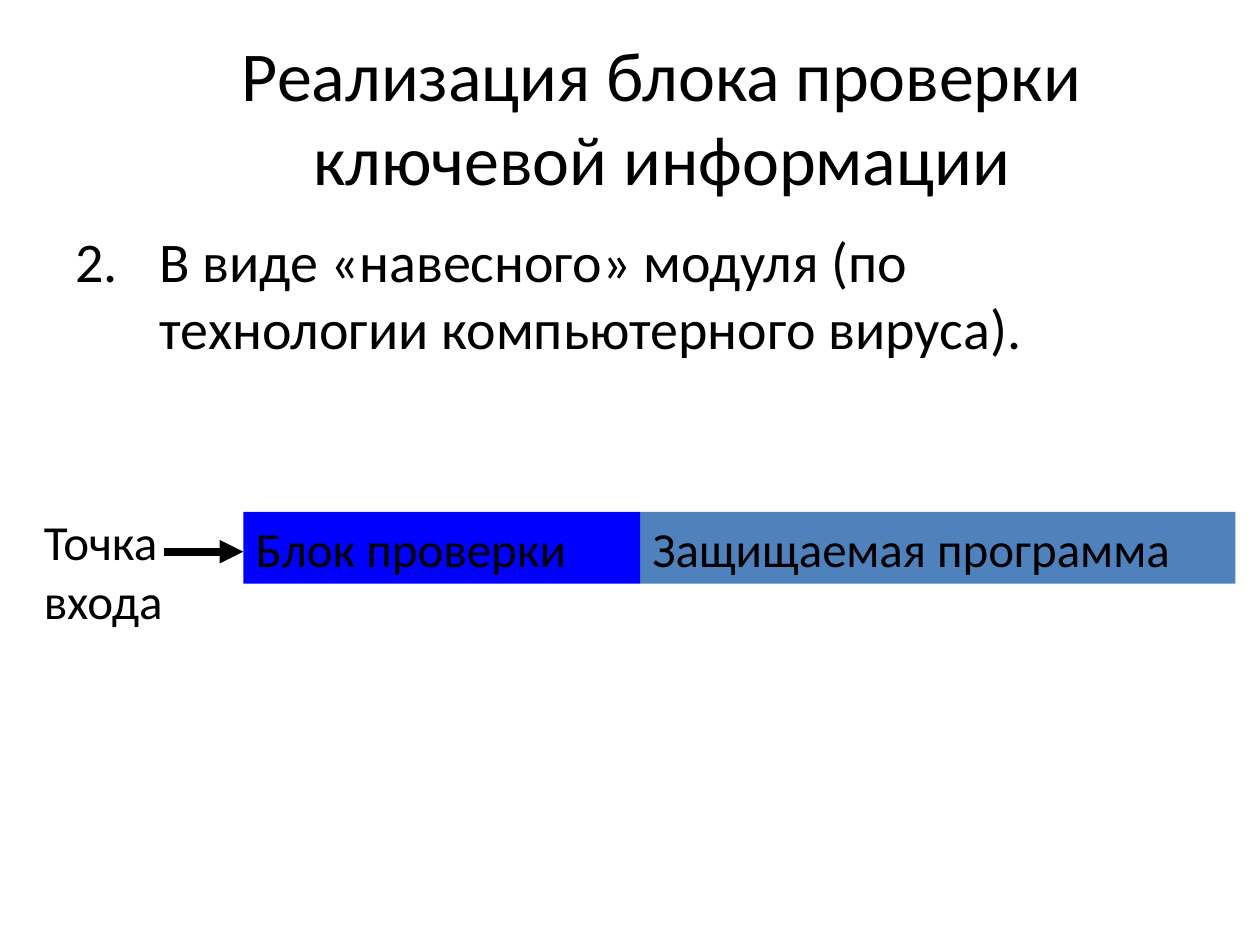
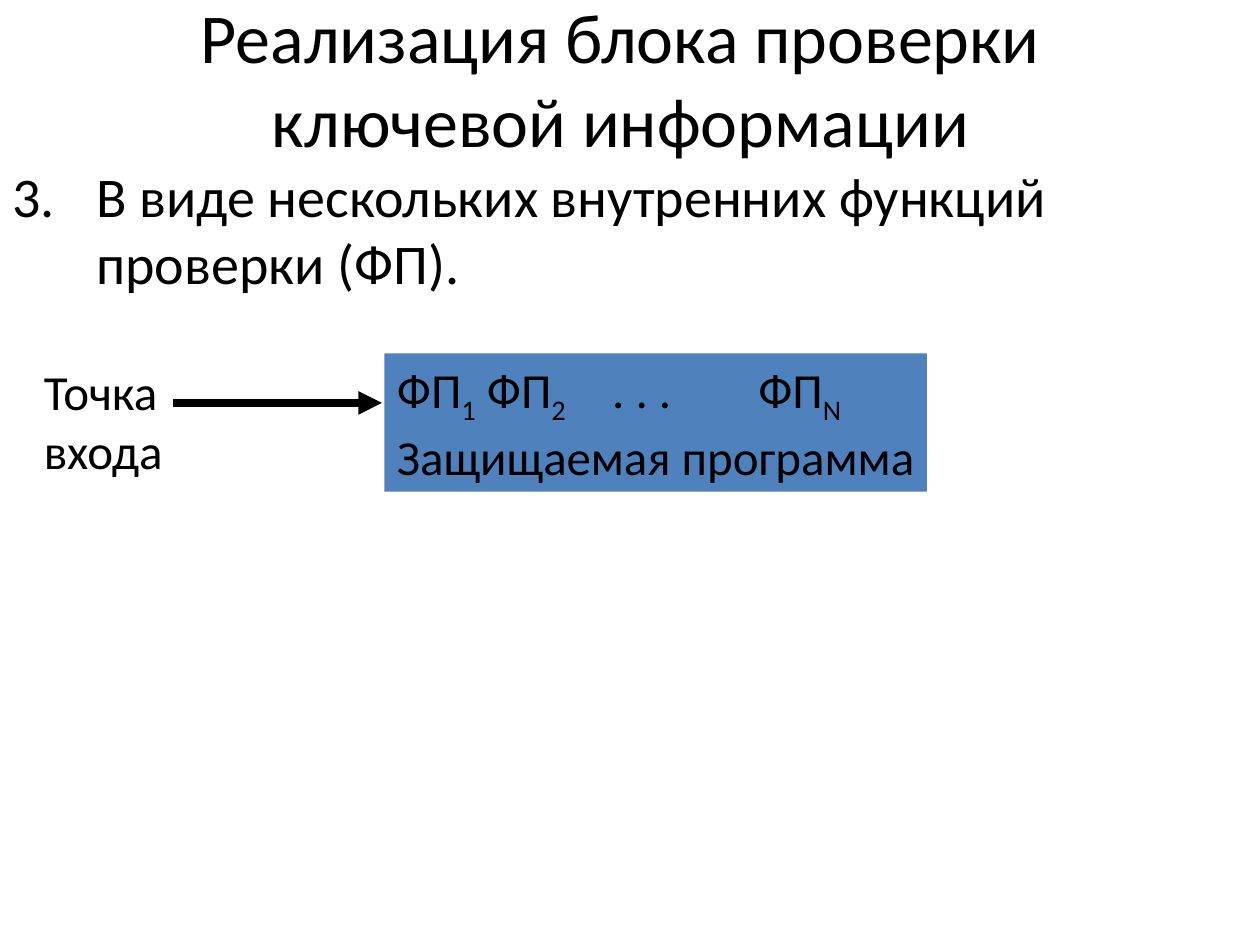
import pptx
import pptx.dml.color
import pptx.enum.shapes
import pptx.enum.text
import pptx.oxml.ns
import pptx.util
from lxml import etree

Pt = pptx.util.Pt
qn = pptx.oxml.ns.qn
ANCHOR = pptx.enum.text.MSO_ANCHOR
ALIGN = pptx.enum.text.PP_ALIGN

COLORS = {"text": "000000", "program": "4F81BD", "check": "0000FF"}
FONT = "Calibri"
TITLE = "Реализация блока проверки ключевой информации"
ENTRY_LABEL = "Точка\nвхода"
PROGRAM_LABEL = "Защищаемая программа"
NUMBER_INDENT = 48
FUNCTION_TABS = [123, 206.5]

SLIDES = [
    {
        "title": (60, 21, 636, 90),
        "body": (36, 126, 648, 93),
        "number": 2,
        "statement": "В виде «навесного» модуля (по технологии компьютерного вируса).",
        "entry": (18, 288.75, 83.5, 75),
        "arrow": (93.5, 139, 315.25),
        "blocks": [
            ((365.75, 292.5, 340.25, 41), "program", [(PROGRAM_LABEL, False)]),
            ((139, 292.5, 226.75, 41), "check", [("Блок проверки", False)]),
        ],
    },
    {
        "title": (25, 0, 659, 88.5),
        "body": (0, 88.5, 720, 96.5),
        "number": 3,
        "statement": "В виде нескольких внутренних функций проверки (ФП).",
        "entry": (18, 203.25, 83.5, 75),
        "arrow": (99, 218.25, 230.25),
        "blocks": [
            ((219.75, 202, 310, 79), "program", [
                ("ФП", False), ("1", True), (" ФП", False), ("2", True),
                ("\t. . .\tФП", False), ("N", True), ("\n" + PROGRAM_LABEL, False),
            ]),
        ],
    },
]


def write_text(shape, runs, size, frame_format):
    """Fill the shape with one paragraph of (text, is_subscript) runs and return it."""
    for name, value in frame_format.items():
        setattr(shape.text_frame, name, value)
    paragraph = shape.text_frame.paragraphs[0]
    paragraph.alignment = ALIGN.LEFT
    paragraph.font.size = Pt(size)
    for text, is_subscript in runs:
        for index, line in enumerate(text.split("\n")):
            if index:
                paragraph.add_line_break()
            if not line:
                continue
            run = paragraph.add_run()
            run.text = line
            for name, value in {"name": FONT, "size": Pt(size)}.items():
                setattr(run.font, name, value)
            run.font.color.rgb = pptx.dml.color.RGBColor.from_string(COLORS["text"])
            if is_subscript:
                run.font._element.set("baseline", "-25000")
    return paragraph


presentation = pptx.Presentation()
presentation.slide_width = Pt(720)
presentation.slide_height = Pt(540)

for content in SLIDES:
    slide = presentation.slides.add_slide(presentation.slide_layouts[6])

    title = slide.shapes.add_textbox(*map(Pt, content["title"]))
    paragraph = write_text(title, [(TITLE, False)], 40,
                           {"word_wrap": True, "vertical_anchor": ANCHOR.MIDDLE})
    paragraph.alignment = ALIGN.CENTER

    body = slide.shapes.add_textbox(*map(Pt, content["body"]))
    paragraph = write_text(body, [(content["statement"], False)], 32, {"word_wrap": True})
    paragraph.space_before = Pt(8)
    properties = paragraph._p.get_or_add_pPr()
    properties.set("marL", str(Pt(NUMBER_INDENT)))
    properties.set("indent", str(-Pt(NUMBER_INDENT)))
    etree.SubElement(properties, qn("a:buFont"), typeface=FONT)
    etree.SubElement(properties, qn("a:buAutoNum"), type="arabicPeriod",
                     startAt=str(content["number"]))

    for place, color, runs in content["blocks"]:
        block = slide.shapes.add_shape(pptx.enum.shapes.MSO_SHAPE.RECTANGLE, *map(Pt, place))
        block.shadow.inherit = False
        block.fill.solid()
        block.fill.fore_color.rgb = pptx.dml.color.RGBColor.from_string(COLORS[color])
        block.line.fill.background()
        paragraph = write_text(block, runs, 28,
                               {"word_wrap": False, "vertical_anchor": ANCHOR.TOP})
        if len(runs) > 1:
            tabs = etree.SubElement(paragraph._p.get_or_add_pPr(), qn("a:tabLst"))
            for position in FUNCTION_TABS:
                etree.SubElement(tabs, qn("a:tab"), pos=str(Pt(position)), algn="l")

    entry = slide.shapes.add_textbox(*map(Pt, content["entry"]))
    write_text(entry, [(ENTRY_LABEL, False)], 28, {"word_wrap": False})

    start, end, height = map(Pt, content["arrow"])
    arrow = slide.shapes.add_connector(pptx.enum.shapes.MSO_CONNECTOR.STRAIGHT,
                                       start, height, end, height)
    arrow.line.width = Pt(4.5)
    arrow.line.color.rgb = pptx.dml.color.RGBColor.from_string(COLORS["text"])
    etree.SubElement(arrow.line._get_or_add_ln(), qn("a:tailEnd"), type="triangle")
    etree.SubElement(arrow._element.spPr, qn("a:effectLst"))

presentation.save("out.pptx")
